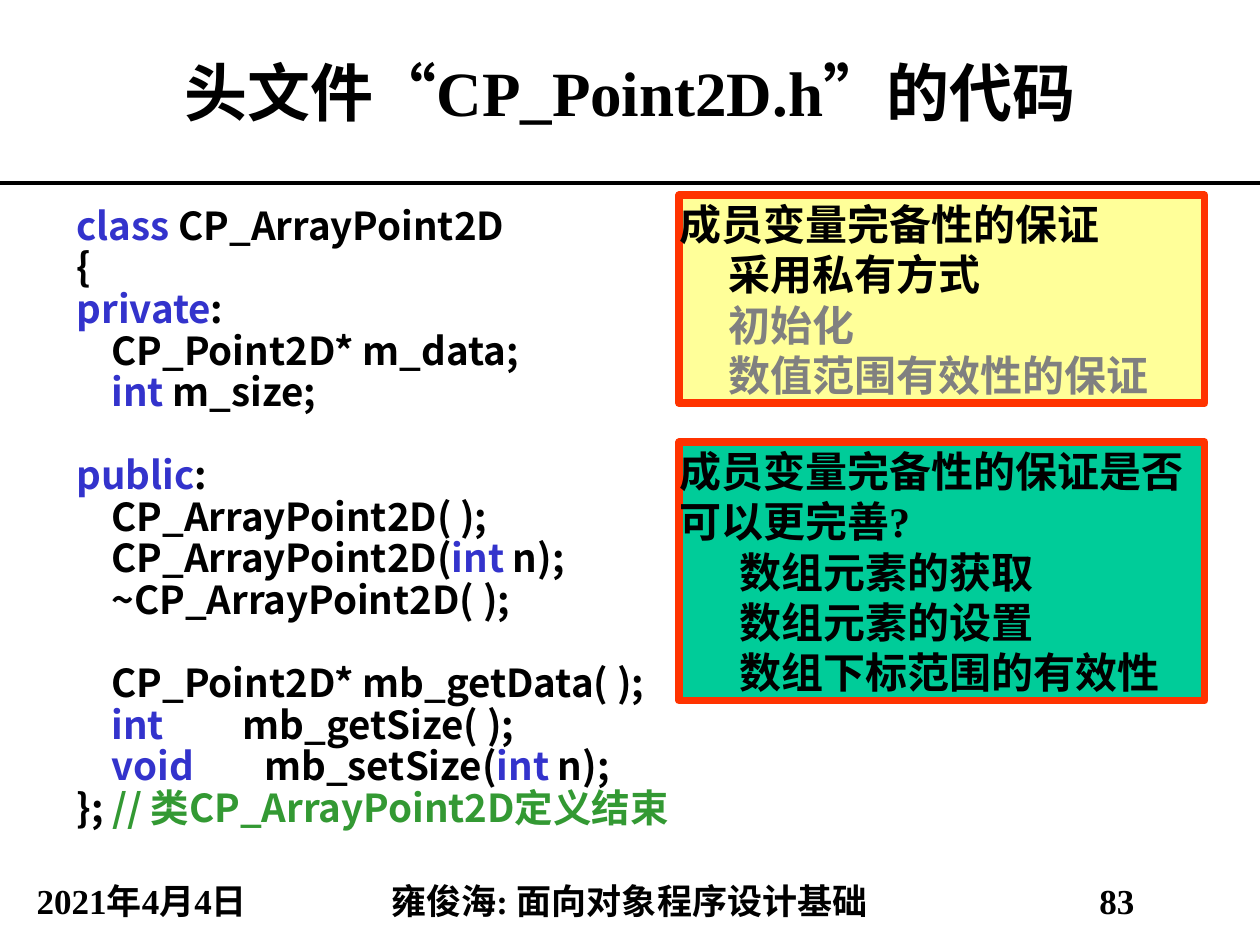
from dataclasses import dataclass

from lxml import etree
from pptx import Presentation
from pptx.dml.color import RGBColor
from pptx.enum import lang, shapes, text
from pptx.oxml import ns
from pptx.util import Inches, Pt


@dataclass(frozen=True)
class Theme:
    serif: str = "Times New Roman"
    sans: str = "Noto Sans CJK SC"
    ink: str = "000000"
    key: str = "3333CC"
    note: str = "339933"
    dim: str = "808080"
    edge: str = "FF3300"
    cream: str = "FFFF99"
    green: str = "00CC99"
    head: int = 36
    list: int = 24
    code: int = 22
    foot: int = 20
    lead: float = 23.75
    step: float = 28.75


CODE = """|class| CP_ArrayPoint2D
{
|private|:
    CP_Point2D* m_data;
    |int| m_size;

|public|:
    CP_ArrayPoint2D( );
    CP_ArrayPoint2D(|int| n);
    ~CP_ArrayPoint2D( );

    CP_Point2D* mb_getData( );
    |int|\tmb_getSize( );
    |void|\tmb_setSize(|int| n);
}; // 类CP_ArrayPoint2D定义结束"""
TABS = {"mb_getSize": 1.32, "mb_setSize": 1.49}


def write(para, words, face, size, color):
    run = para.add_run()
    run.text = words
    font = run.font
    font.name, font.size, font.bold = face, Pt(size), True
    font.color.rgb = RGBColor.from_string(color)
    font.language_id = lang.MSO_LANGUAGE_ID.SIMPLIFIED_CHINESE
    east = etree.Element(ns.qn("a:ea"), typeface=Theme.sans)
    font._element.find(ns.qn("a:latin")).addnext(east)


def add_tab(para, pos):
    stops = etree.SubElement(para._p.get_or_add_pPr(), ns.qn("a:tabLst"))
    etree.SubElement(stops, ns.qn("a:tab"), pos=str(Inches(pos)), algn="l")


def next_para(frame):
    first = frame.paragraphs[0]
    return frame.add_paragraph() if first.runs else first


class Deck:
    def __init__(self, theme):
        self.theme = theme
        self.file = Presentation()
        self.file.slide_width, self.file.slide_height = Inches(10), Inches(7.5)
        self.slide = self.file.slides.add_slide(self.file.slide_layouts[5])

    def title(self, words, *box):
        shape = self.slide.shapes.title
        shape.left, shape.top, shape.width, shape.height = map(Inches, box)
        frame = shape.text_frame
        frame.vertical_anchor = text.MSO_ANCHOR.MIDDLE
        para = frame.paragraphs[0]
        para.alignment = text.PP_ALIGN.CENTER
        write(para, words, self.theme.serif, self.theme.head, self.theme.ink)

    def box(self, *box):
        frame = self.slide.shapes.add_textbox(*map(Inches, box)).text_frame
        frame.word_wrap = True
        return frame

    def code(self, source, *box):
        look = self.theme
        frame = self.box(*box)
        gap = 0
        for line in source.splitlines():
            if not line:
                gap += look.lead
                continue
            para = next_para(frame)
            for name, pos in TABS.items():
                if name in line:
                    add_tab(para, pos)
            para.line_spacing = Pt(look.lead)
            if gap:
                para.space_before = Pt(gap)
            gap = 0
            body, mark, note = line.partition("//")
            for i, part in enumerate(body.split("|")):
                if part:
                    color = look.key if i % 2 else look.ink
                    write(para, part, look.sans, look.code, color)
            if mark:
                write(para, mark + note, look.sans, look.code, look.note)

    def rule(self, y):
        line = self.slide.shapes.add_connector(
            shapes.MSO_CONNECTOR.STRAIGHT, 0, Inches(y), Inches(10), Inches(y))
        line.line.color.rgb = RGBColor.from_string(self.theme.ink)
        line.line.width = Pt(2.25)
        etree.SubElement(line._element.spPr, ns.qn("a:effectLst"))

    def panel(self, head, items, fill, indent, *box):
        look = self.theme
        shape = self.slide.shapes.add_shape(
            shapes.MSO_SHAPE.RECTANGLE, *map(Inches, box))
        shape.shadow.inherit = False
        shape.fill.solid()
        shape.fill.fore_color.rgb = RGBColor.from_string(fill)
        shape.line.color.rgb = RGBColor.from_string(look.edge)
        shape.line.width = Pt(4.5)
        frame = shape.text_frame
        frame.word_wrap = True
        frame.vertical_anchor = text.MSO_ANCHOR.MIDDLE
        frame.margin_left = frame.margin_right = 0
        frame.margin_top = frame.margin_bottom = 0
        for level, (words, color) in enumerate([(head, look.ink), *items]):
            para = next_para(frame)
            para.alignment = text.PP_ALIGN.LEFT
            para.line_spacing = Pt(look.step)
            if level:
                para.level = 1
                para._p.get_or_add_pPr().set("marL", str(Inches(indent)))
            write(para, words, look.serif, look.list, color)

    def footer(self, words, left, width):
        frame = self.box(left, 6.95, width, 0.4)
        frame.vertical_anchor = text.MSO_ANCHOR.MIDDLE
        para = frame.paragraphs[0]
        para.alignment = text.PP_ALIGN.CENTER
        write(para, words, self.theme.serif, self.theme.foot, self.theme.ink)


def main():
    look = Theme()
    deck = Deck(look)
    deck.title("头文件“CP_Point2D.h”的代码", 0, 0, 10, 1.45)
    deck.code(CODE, 0.51, 1.59, 8.99, 5.36)
    deck.rule(1.45)
    deck.panel("成员变量完备性的保证",
               [("采用私有方式", look.ink), ("初始化", look.dim),
                ("数值范围有效性的保证", look.dim)],
               look.cream, 0.39, 5.39, 1.55, 4.17, 1.65)
    deck.panel("成员变量完备性的保证是否可以更完善?",
               [(words, look.ink) for words in
                ("数组元素的获取", "数组元素的设置", "数组下标范围的有效性")],
               look.green, 0.48, 5.39, 3.51, 4.17, 2.05)
    deck.footer("2021年4月4日", 0, 2.25)
    deck.footer("雍俊海: 面向对象程序设计基础", 2.25, 5.49)
    deck.footer("83", 7.74, 2.25)
    deck.file.save("out.pptx")


if __name__ == "__main__":
    main()
